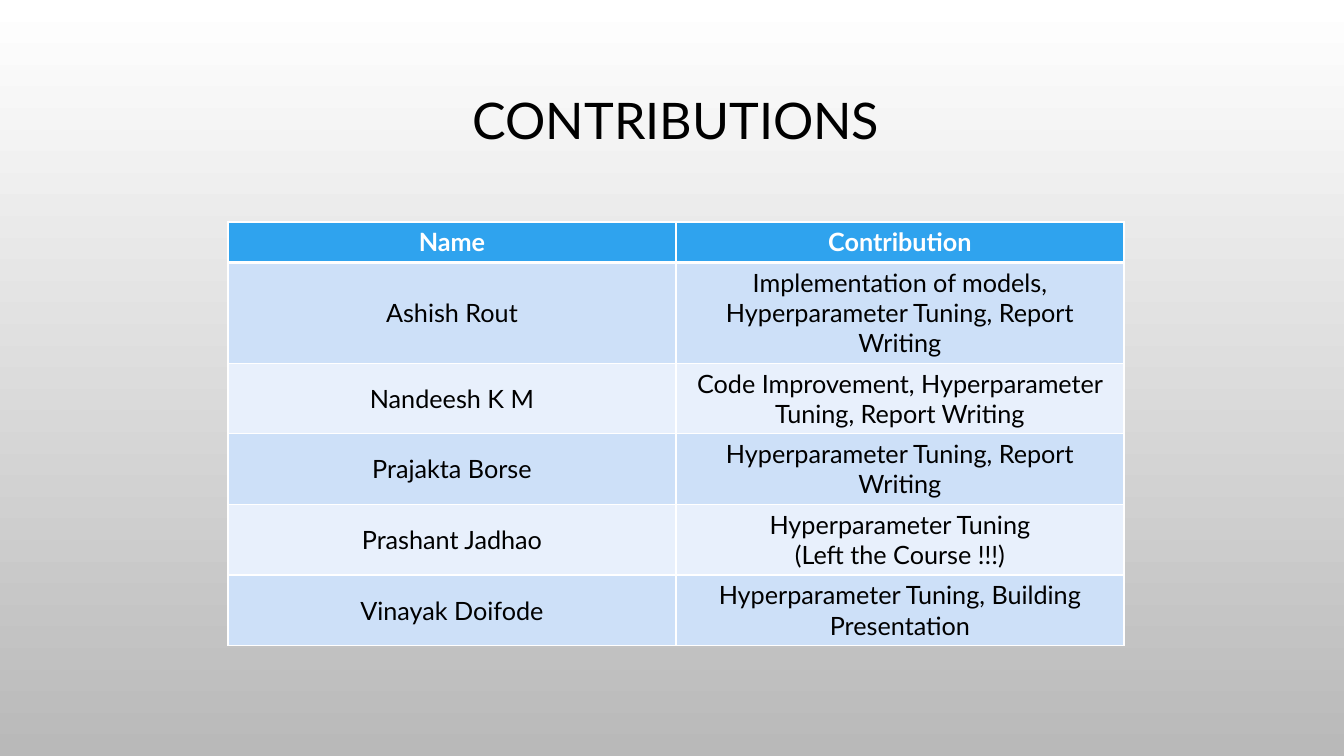
import pptx
import pptx.dml.color
import pptx.enum.text
import pptx.oxml
import pptx.oxml.ns
import pptx.util

TITLE = "CONTRIBUTIONS"
HEADER = ("Name", "Contribution")
# name, contribution, number of text lines the row holds
MEMBERS = [
    ("Ashish Rout", "Implementation of models, Hyperparameter Tuning, Report Writing", 3),
    ("Nandeesh K M", "Code Improvement, Hyperparameter Tuning, Report Writing", 2),
    ("Prajakta Borse", "Hyperparameter Tuning, Report Writing", 2),
    ("Prashant Jadhao", "Hyperparameter Tuning\n(Left the Course !!!)", 2),
    ("Vinayak Doifode", "Hyperparameter Tuning, Building Presentation", 2),
]

RGB = pptx.dml.color.RGBColor
BLACK = RGB(0x00, 0x00, 0x00)
WHITE = RGB(0xFF, 0xFF, 0xFF)
GRAY = RGB(0xB9, 0xB9, 0xB9)
BLUE = RGB(0x2F, 0xA3, 0xEE)
BANDS = (RGB(0xCD, 0xE0, 0xF8), RGB(0xE8, 0xF0, 0xFC))

FONT = "Lato"
SLIDE_W, SLIDE_H = 1344, 756
TITLE_BOX = (84, 69, 1184, 109)
TABLE_LEFT, TABLE_TOP, COL_W = 228, 222, 448
ROW_PAD, LINE_H = 10, 30


def px(n):
    """Turn pixels into EMU."""
    return pptx.util.Emu(round(n * 914400 / 100.8))


def write(tf, text, size=18, color=BLACK, bold=False, spacing=None):
    """Fill a text frame with centred paragraphs, one per line of text."""
    tf.word_wrap = True
    for i, line in enumerate(text.split("\n")):
        p = tf.add_paragraph() if i else tf.paragraphs[0]
        p.alignment = pptx.enum.text.PP_ALIGN.CENTER
        p.line_spacing = spacing
        r = p.add_run()
        r.text = line
        r.font.name = FONT
        r.font.size = pptx.util.Pt(size)
        r.font.bold = bold
        r.font.color.rgb = color


def set_borders(cell, bottom=1, top=1):
    """Draw white borders round a cell, with widths in points."""
    tc_pr = cell._tc.get_or_add_tcPr()
    sides = (("lnL", 1), ("lnR", 1), ("lnT", top), ("lnB", bottom))
    for i, (tag, width) in enumerate(sides):
        tc_pr.insert(i, pptx.oxml.parse_xml(
            f'<a:{tag} {pptx.oxml.ns.nsdecls("a")} w="{pptx.util.Pt(width)}">'
            f'<a:solidFill><a:srgbClr val="{WHITE}"/></a:solidFill></a:{tag}>'))


def add_title(s):
    """Add the centred slide title."""
    tf = s.shapes.add_textbox(*map(px, TITLE_BOX)).text_frame
    tf.vertical_anchor = pptx.enum.text.MSO_ANCHOR.MIDDLE
    write(tf, TITLE, size=36, spacing=0.9)


def add_contributions(s):
    """Add the table of members, with banded rows under a blue header."""
    rows = [HEADER + (1,)] + MEMBERS
    heights = [ROW_PAD + LINE_H * lines for *_, lines in rows]
    table = s.shapes.add_table(
        len(rows), len(HEADER), px(TABLE_LEFT), px(TABLE_TOP),
        px(COL_W * len(HEADER)), px(sum(heights))).table
    for col in table.columns:
        col.width = px(COL_W)
    for i, (*texts, _) in enumerate(rows):
        head = i == 0
        table.rows[i].height = px(heights[i])
        for j, text in enumerate(texts):
            cell = table.cell(i, j)
            cell.vertical_anchor = pptx.enum.text.MSO_ANCHOR.MIDDLE
            cell.fill.solid()
            cell.fill.fore_color.rgb = BLUE if head else BANDS[(i - 1) % 2]
            write(cell.text_frame, text, color=WHITE if head else BLACK, bold=head)
            set_borders(cell, bottom=3 if head else 1, top=3 if i == 1 else 1)


def set_background(s):
    """Shade the slide from white at the top to gray at the bottom."""
    fill = s.background.fill
    fill.gradient()
    fill.gradient_angle = 270
    for stop, color in zip(fill.gradient_stops, (WHITE, GRAY)):
        stop.color.rgb = color


prs = pptx.Presentation()
prs.slide_width, prs.slide_height = px(SLIDE_W), px(SLIDE_H)
s = prs.slides.add_slide(prs.slide_layouts[6])
set_background(s)
add_title(s)
add_contributions(s)
prs.save("out.pptx")
